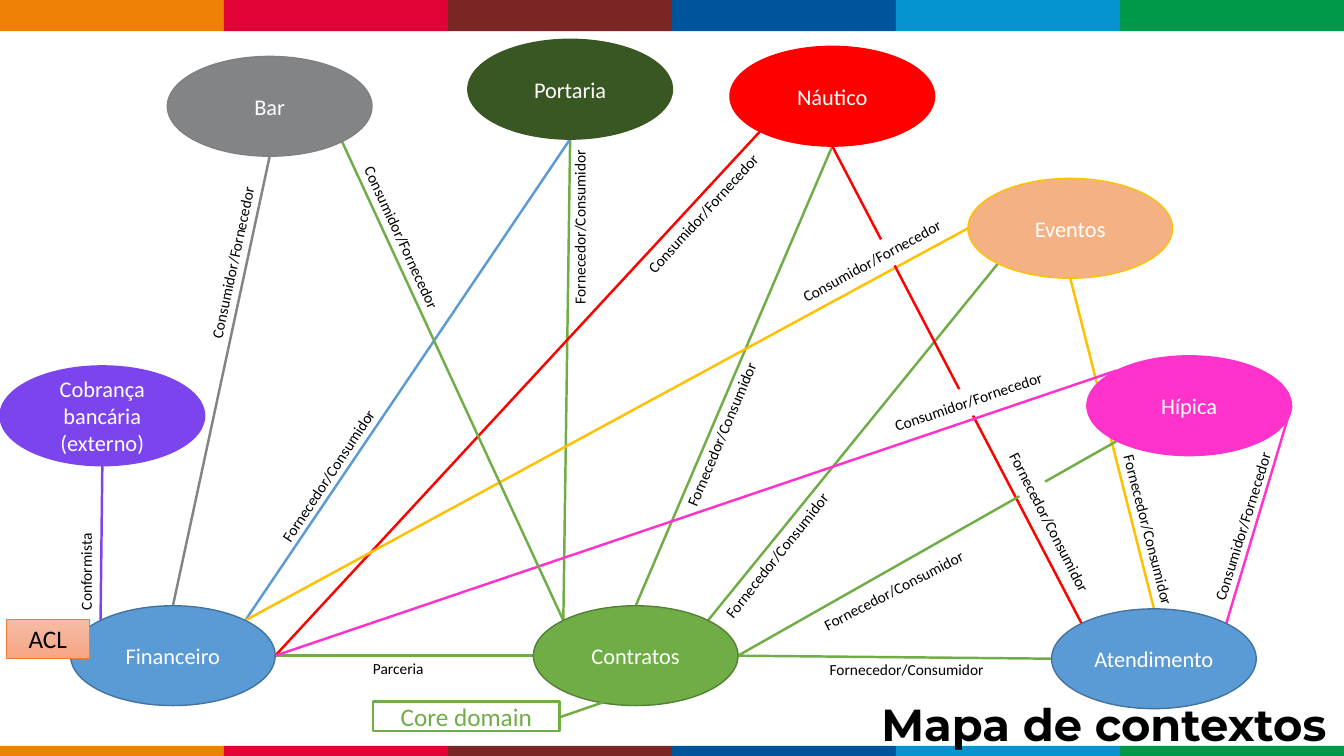
import copy
import math
from typing import Any, NamedTuple

import lxml.etree
import pptx
import pptx.dml.color
import pptx.enum.shapes
import pptx.enum.text
import pptx.oxml.ns
import pptx.util

Inches = pptx.util.Inches
Shape = pptx.enum.shapes.MSO_SHAPE
Anchor = pptx.enum.text.MSO_ANCHOR
Align = pptx.enum.text.PP_ALIGN
AutoSize = pptx.enum.text.MSO_AUTO_SIZE

SLIDE_WIDTH, SLIDE_HEIGHT = 13.33, 7.5
OVAL_WIDTH, OVAL_HEIGHT = 2.03, 0.99
STRIPES = ["EF8206", "E20334", "7B2525", "00549A", "0794CE", "009949"]
GREEN, WHITE, BLACK = "70AD47", "FFFFFF", "000000"
SUPPLIER, CONSUMER = "Fornecedor/Consumidor", "Consumidor/Fornecedor"
LABEL_WIDTHS = {SUPPLIER: 1.74, CONSUMER: 1.79, "Parceria": 0.71, "Conformista": 0.97}
SITE_ANGLES = {"right": 0, "lower right": 45, "bottom": 90, "lower left": 135,
               "left": 180, "upper left": 225, "top": 270, "upper right": 315}


class Context(NamedTuple):
    left: float
    top: float
    fill: str
    line: str


class Link(NamedTuple):
    start: str
    start_site: str
    end: str
    end_site: str
    color: str


class Label(NamedTuple):
    text: str
    left: float
    top: float
    rotation: float = 0
    fill: str | None = None


CONTEXTS = {
    "Contratos": Context(5.29, 6.01, GREEN, "538035"),
    "Financeiro": Context(0.7, 6.01, "5B9BD5", "43739E"),
    "Cobrança bancária\n(externo)": Context(0, 3.63, "7C44EC", "7C44EC"),
    "Portaria": Context(4.64, 0.39, "385723", "385723"),
    "Náutico": Context(7.24, 0.46, "FF0000", "FF0000"),
    "Eventos": Context(9.6, 1.77, "F4B183", "FFC000"),
    "Bar": Context(1.66, 0.56, "828486", "808080"),
    "Atendimento": Context(10.43, 6.04, "5B9BD5", "43739E"),
    "Hípica": Context(10.78, 3.53, "FF33CC", "FF33CC"),
}

LINKS = [
    Link("Eventos", "bottom", "Atendimento", "top", "FFC000"),
    Link("Contratos", "right", "Atendimento", "left", GREEN),
    Link("Financeiro", "upper left", "Cobrança bancária\n(externo)", "bottom", "7C44EC"),
    Link("Contratos", "left", "Financeiro", "right", GREEN),
    Link("Bar", "bottom", "Financeiro", "top", "828486"),
    Link("Portaria", "bottom", "Contratos", "upper left", GREEN),
    Link("Portaria", "bottom", "Financeiro", "upper right", "5B9BD5"),
    Link("Náutico", "bottom", "Contratos", "top", GREEN),
    Link("Náutico", "lower left", "Financeiro", "right", "FF0000"),
    Link("Eventos", "lower left", "Contratos", "upper right", GREEN),
    Link("Eventos", "left", "Financeiro", "upper right", "FFC000"),
    Link("Náutico", "bottom", "Atendimento", "upper left", "FF0000"),
    Link("Hípica", "right", "Atendimento", "upper right", "FF33CC"),
    Link("Hípica", "lower left", "Contratos", "right", GREEN),
    Link("Hípica", "upper left", "Financeiro", "right", "FF33CC"),
    Link("Contratos", "upper left", "Bar", "lower right", GREEN),
]

BACK_LABEL = Label(SUPPLIER, 10.52, 5.12, 75.5, WHITE)
LABELS = [
    Label(SUPPLIER, 8.13, 6.5),
    Label(SUPPLIER, 8, 5.71, 332.6),
    Label(SUPPLIER, 6.84, 5.36, 308.5),
    Label(SUPPLIER, 6.29, 4.16, 292.9),
    Label(SUPPLIER, 4.88, 2.1, 270),
    Label("Parceria", 3.6, 6.49),
    Label(CONSUMER, 3.1, 2.24, 65.1),
    Label("Conformista", 0.37, 5.52, 270),
    Label(CONSUMER, 1.42, 2.43, 282),
    Label(SUPPLIER, 2.39, 4.57, 303.5),
    Label(CONSUMER, 6.1, 1.95, 312.5),
    Label(CONSUMER, 8.74, 3.83, 341.3, WHITE),
    Label(CONSUMER, 7.78, 2.43, 331.5, WHITE),
    Label(SUPPLIER, 9.54, 5.04, 62.8, WHITE),
    Label(CONSUMER, 11.44, 5.05, 287.4),
]


def rgb(value: str) -> pptx.dml.color.RGBColor:
    return pptx.dml.color.RGBColor.from_string(value)


def write(box: Any, text: str, size: float, color: str, frame_format: dict[str, Any],
          para_format: dict[str, Any], name: str = "Calibri", bold: bool = False) -> None:
    frame = box.text_frame
    frame.text = text
    for key, value in frame_format.items():
        setattr(frame, key, value)
    for para in frame.paragraphs:
        for key, value in para_format.items():
            setattr(para, key, value)
        for span in para.runs:
            font_format = {"name": name, "size": pptx.util.Pt(size), "bold": bold}
            for key, value in font_format.items():
                setattr(span.font, key, value)
            span.font.color.rgb = rgb(color)


def add_figure(page: Any, kind: Any, place: tuple[float, ...], fill: str,
               line: str | None = None, line_width: float = 1) -> Any:
    figure = page.shapes.add_shape(kind, *map(Inches, place))
    figure.shadow.inherit = False
    figure.fill.solid()
    figure.fill.fore_color.rgb = rgb(fill)
    if line:
        figure.line.color.rgb = rgb(line)
        figure.line.width = pptx.util.Pt(line_width)
    else:
        figure.line.fill.background()
    return figure


def write_centred(box: Any, text: str, size: float, color: str) -> None:
    write(box, text, size, color, {"word_wrap": True, "vertical_anchor": Anchor.MIDDLE},
          {"alignment": Align.CENTER})


def site_point(name: str, site: str) -> tuple[float, float]:
    context, angle = CONTEXTS[name], math.radians(SITE_ANGLES[site])
    return (context.left + OVAL_WIDTH / 2 * (1 + math.cos(angle)),
            context.top + OVAL_HEIGHT / 2 * (1 + math.sin(angle)))


def add_link(page: Any, link: Link) -> None:
    points = site_point(link.start, link.start_site) + site_point(link.end, link.end_site)
    connector = page.shapes.add_connector(
        pptx.enum.shapes.MSO_CONNECTOR.STRAIGHT, *map(Inches, points))
    connector.line.color.rgb = rgb(link.color)
    connector.line.width = pptx.util.Pt(1.75)
    lxml.etree.SubElement(connector._element.spPr, pptx.oxml.ns.qn("a:effectLst"))


def add_label(page: Any, label: Label) -> None:
    place = (label.left, label.top, LABEL_WIDTHS[label.text], 0.29)
    box = page.shapes.add_textbox(*map(Inches, place))
    box.rotation = label.rotation
    if label.fill:
        box.fill.solid()
        box.fill.fore_color.rgb = rgb(label.fill)
    write(box, label.text, 11, BLACK,
          {"word_wrap": False, "auto_size": AutoSize.SHAPE_TO_FIT_TEXT}, {})


def fill_gradient(figure: Any, colors: list[str]) -> None:
    figure.fill.gradient()
    figure.fill.gradient_angle = 270
    stop_list = figure._element.spPr.find(".//" + pptx.oxml.ns.qn("a:gsLst"))
    stop_list.append(copy.deepcopy(stop_list[0]))
    for index, (stop, color) in enumerate(zip(figure.fill.gradient_stops, colors)):
        stop.position = index / (len(colors) - 1)
        stop.color.rgb = rgb(color)


def main() -> None:
    deck = pptx.Presentation()
    deck.slide_width, deck.slide_height = Inches(SLIDE_WIDTH), Inches(SLIDE_HEIGHT)
    page = deck.slides.add_slide(deck.slide_layouts[6])
    stripe_width = SLIDE_WIDTH / len(STRIPES)
    for top, height in ((0, 0.31), (7.4, 0.1)):
        for index, color in enumerate(STRIPES):
            add_figure(page, Shape.RECTANGLE, (index * stripe_width, top, stripe_width, height), color)
    add_label(page, BACK_LABEL)
    for link in LINKS:
        add_link(page, link)
    for name, context in CONTEXTS.items():
        place = (context.left, context.top, OVAL_WIDTH, OVAL_HEIGHT)
        oval = add_figure(page, Shape.OVAL, place, context.fill, context.line)
        write_centred(oval, name, 16, WHITE)
    for label in LABELS:
        add_label(page, label)
    layer = add_figure(page, Shape.RECTANGLE, (0.06, 6.14, 0.83, 0.39), WHITE, "ED7D31", 0.5)
    fill_gradient(layer, ["F7BDA5", "F5B196", "F8A582"])
    write_centred(layer, "ACL", 18, BLACK)
    core = add_figure(page, Shape.LINE_CALLOUT_1, (3.7, 6.96, 1.85, 0.29), WHITE, GREEN, 1.75)
    for index, value in enumerate((0.54, 1, -0.23, 1.35)):
        core.adjustments[index] = value
    write_centred(core, "Core domain", 18, GREEN)
    title = page.shapes.add_textbox(*map(Inches, (7.86, 6.92, 6.18, 0.68)))
    write(title, "Mapa de contextos", 32, BLACK, {"word_wrap": True},
          {"alignment": Align.CENTER, "line_spacing": 0.9}, "Montserrat", True)
    deck.save("out.pptx")


if __name__ == "__main__":
    main()
